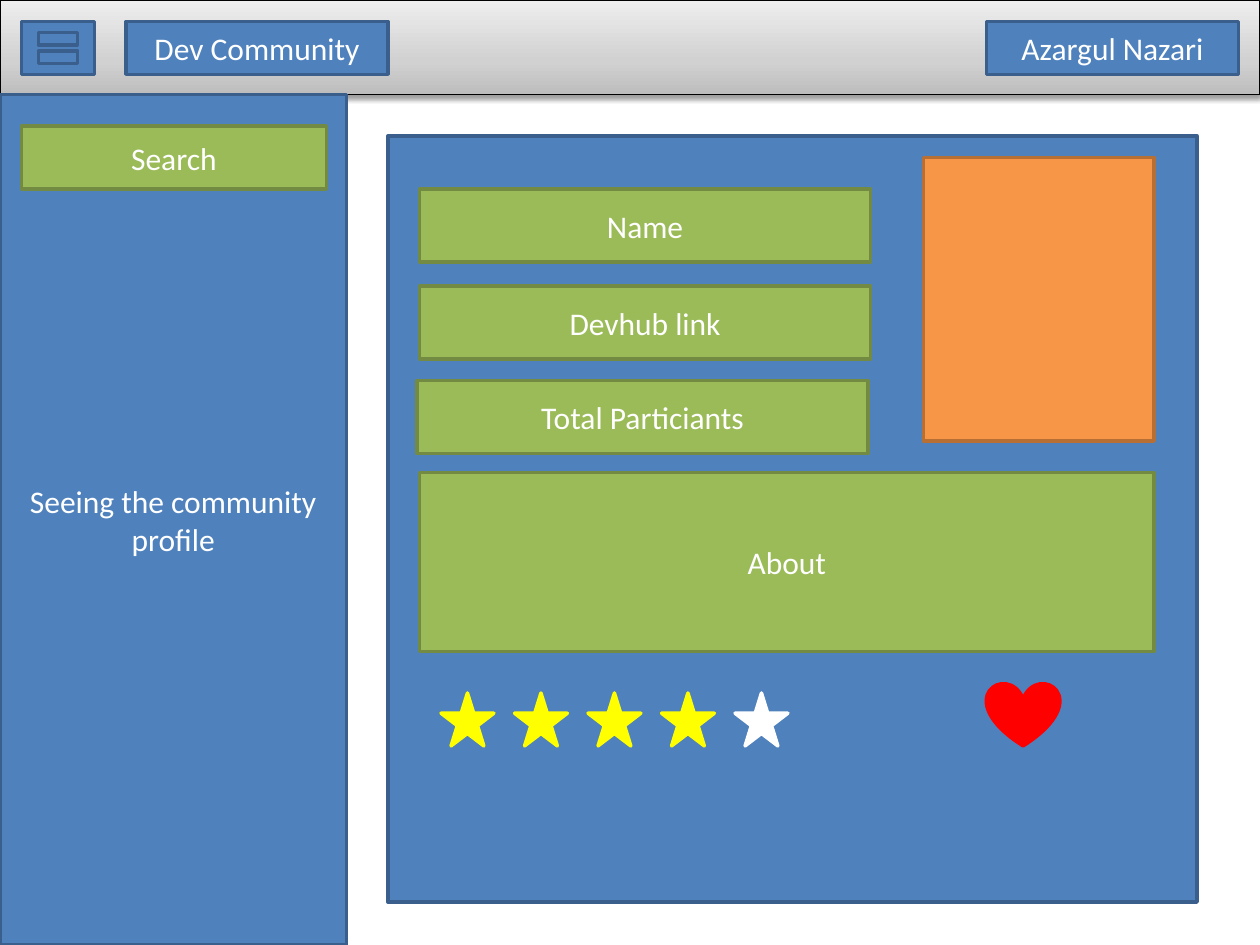
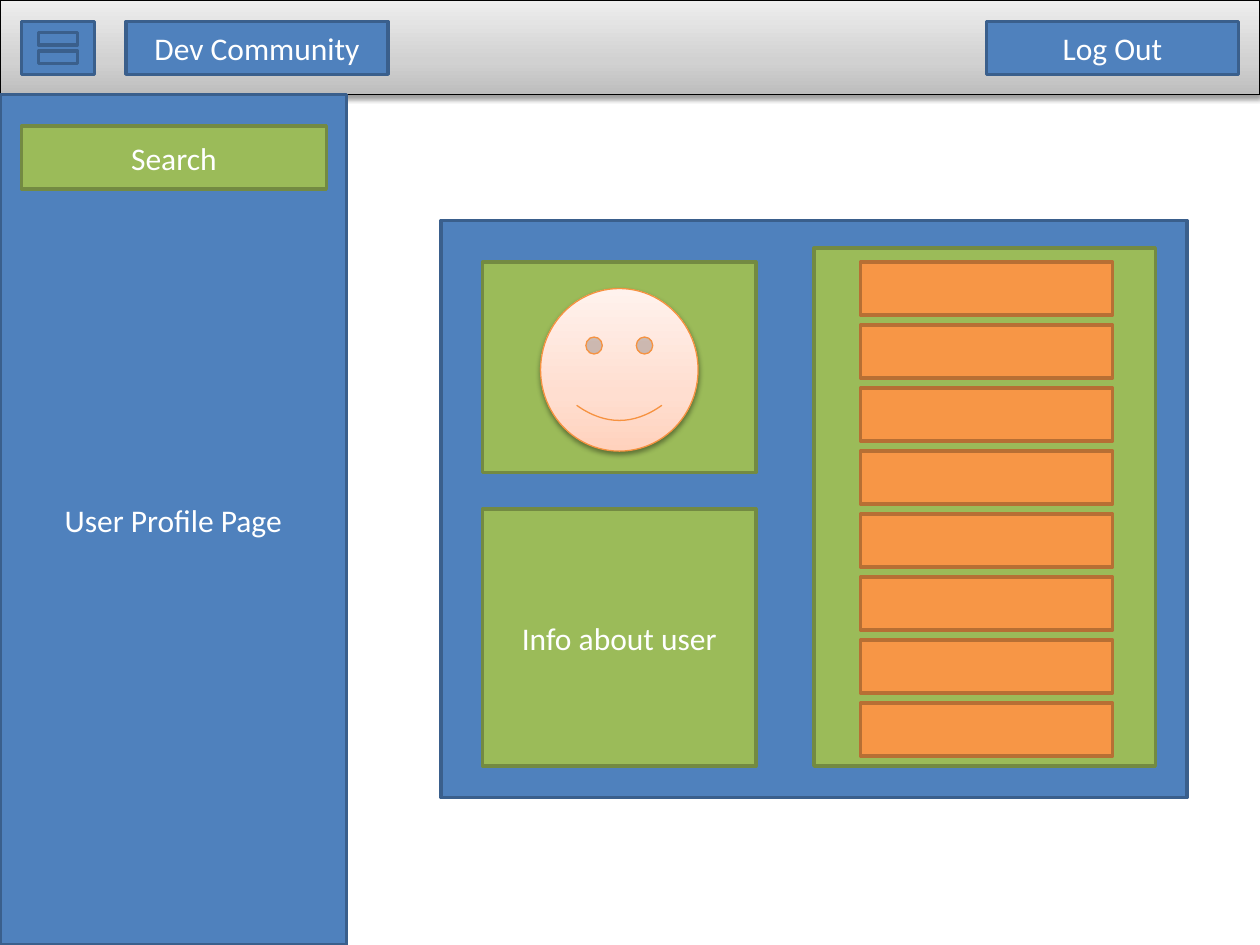
from lxml.etree import SubElement
from pptx import Presentation
from pptx.dml.color import RGBColor
from pptx.enum.shapes import MSO_SHAPE
from pptx.enum.text import PP_ALIGN
from pptx.oxml.ns import qn
from pptx.util import Inches, Pt

FONT = "Calibri"
COLORS = {
    "blue": "4F81BD", "blue_edge": "3A5F8C",
    "green": "9BBB59", "green_edge": "738A42",
    "orange": "F79646", "orange_edge": "B76F34",
    "yellow": "FFFF00", "red": "FF0000", "white": "FFFFFF",
    "black": "000000", "smiley_edge": "F69240",
}
BAR_STOPS = [(0, "BDBDBD"), (35, "D1D1D1"), (100, "EEEEEE")]
SMILEY_STOPS = [(0, "FFD2BD"), (35, "FFDED0"), (100, "FFF2ED")]


def add_block(slide, color, left, top, width, height, label="", kind=MSO_SHAPE.RECTANGLE):
    """Add a flat shape, edged in the matching darker colour if there is one."""
    block = slide.shapes.add_shape(kind, Inches(left), Inches(top), Inches(width), Inches(height))
    block.shadow.inherit = False
    block.fill.solid()
    block.fill.fore_color.rgb = RGBColor.from_string(COLORS[color])
    edge = COLORS.get(color + "_edge", COLORS[color])
    block.line.color.rgb = RGBColor.from_string(edge)
    block.line.width = Pt(2)
    if label:
        block.text_frame.text = label
        paragraph = block.text_frame.paragraphs[0]
        paragraph.alignment = PP_ALIGN.CENTER
        font = paragraph.runs[0].font
        font.name, font.size = FONT, Pt(18)
        font.color.rgb = RGBColor.from_string(COLORS["white"])
    return block


def make_raised(block, stops, edge):
    """Give a shape a bottom-to-top gradient, a thin edge and a soft shadow."""
    block.fill.gradient()
    block.fill.gradient_angle = 90
    properties = block.element.spPr
    stop_list = properties.find(qn("a:gradFill")).find(qn("a:gsLst"))
    for old_stop in list(stop_list):
        stop_list.remove(old_stop)
    for position, color in stops:
        stop = SubElement(stop_list, qn("a:gs"), pos=str(position * 1000))
        SubElement(stop, qn("a:srgbClr"), val=color)
    block.line.color.rgb = RGBColor.from_string(COLORS[edge])
    block.line.width = Pt(0.75)
    shadow = SubElement(properties.find(qn("a:effectLst")), qn("a:outerShdw"),
                        blurRad=str(Pt(3.1)), dist=str(Pt(1.6)), dir="5400000", rotWithShape="0")
    shadow_color = SubElement(shadow, qn("a:srgbClr"), val=COLORS["black"])
    SubElement(shadow_color, qn("a:alpha"), val="38000")


prs = Presentation()
prs.slide_width, prs.slide_height = Inches(10), Inches(7.5)

# Both pages share the top bar, the menu icon and the sidebar
pages = []
for sidebar_label, account_label in [("Seeing the community profile", "Azargul Nazari"),
                                     ("User Profile Page", "Log Out")]:
    page = prs.slides.add_slide(prs.slide_layouts[6])
    top_bar = add_block(page, "white", 0, 0, 10, 0.75)
    make_raised(top_bar, BAR_STOPS, "black")
    add_block(page, "blue", 0, 0.75, 2.75, 6.75, sidebar_label)
    add_block(page, "blue", 7.83, 0.17, 2, 0.42, account_label)
    add_block(page, "blue", 0.17, 0.17, 0.58, 0.42)
    add_block(page, "blue", 1, 0.17, 2.08, 0.42, "Dev Community")
    add_block(page, "green", 0.17, 1, 2.42, 0.5, "Search")
    add_block(page, "blue", 0.25, 0.17, 0.42, 0.42, kind=MSO_SHAPE.MATH_EQUAL)
    pages.append(page)
community_page, user_page = pages

# Community profile: photo, details, rating and like
add_block(community_page, "blue", 3.08, 1.08, 6.42, 6.08)
add_block(community_page, "orange", 7.33, 1.25, 1.83, 2.25)
for left, top, field in [(3.33, 1.5, "Name"), (3.33, 2.27, "Devhub link"),
                         (3.31, 3.02, "Total Particiants")]:
    add_block(community_page, "green", left, top, 3.58, 0.58, field)
add_block(community_page, "green", 3.33, 3.75, 5.83, 1.42, "About")

STAR_COUNT, RATING = 5, 4
for i in range(STAR_COUNT):
    star_color = "yellow" if i < RATING else "white"
    add_block(community_page, star_color, 3.5 + i * 7 / 12, 5.5, 0.42, 0.42,
              kind=MSO_SHAPE.STAR_5_POINT)
add_block(community_page, "red", 7.83, 5.42, 0.58, 0.5, kind=MSO_SHAPE.HEART)

# User profile: avatar, info and a list of entries
add_block(user_page, "blue", 3.5, 1.75, 5.92, 4.58)
add_block(user_page, "green", 3.83, 2.08, 2.17, 1.67)
add_block(user_page, "green", 6.46, 1.97, 2.71, 4.11)
add_block(user_page, "green", 3.83, 4.04, 2.17, 2.04, "Info about user")
for i in range(8):
    add_block(user_page, "orange", 6.83, 2.08 + i * 0.5, 2, 0.42)
avatar = add_block(user_page, "white", 4.29, 2.29, 1.25, 1.29, kind=MSO_SHAPE.SMILEY_FACE)
make_raised(avatar, SMILEY_STOPS, "smiley_edge")

prs.save("out.pptx")
